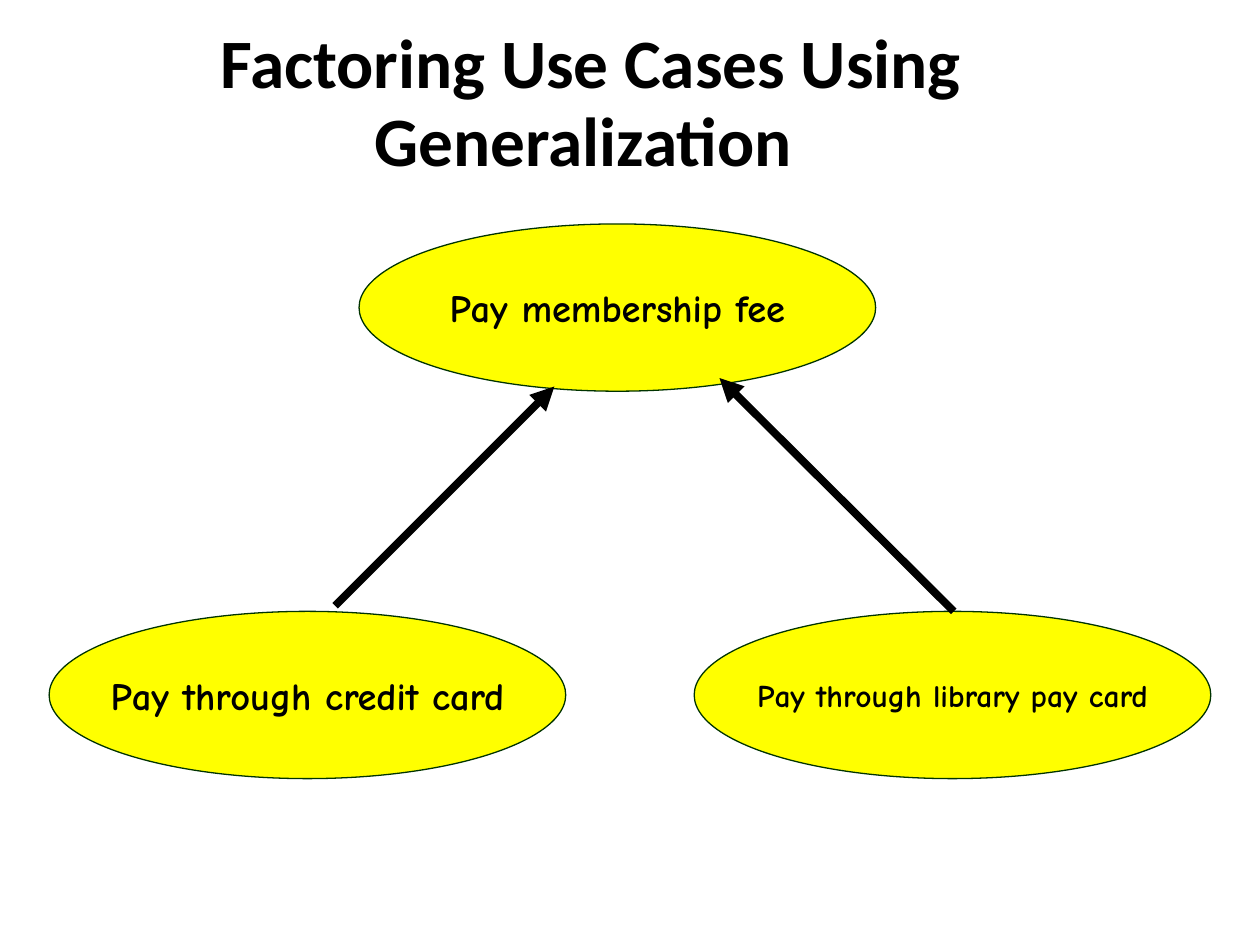
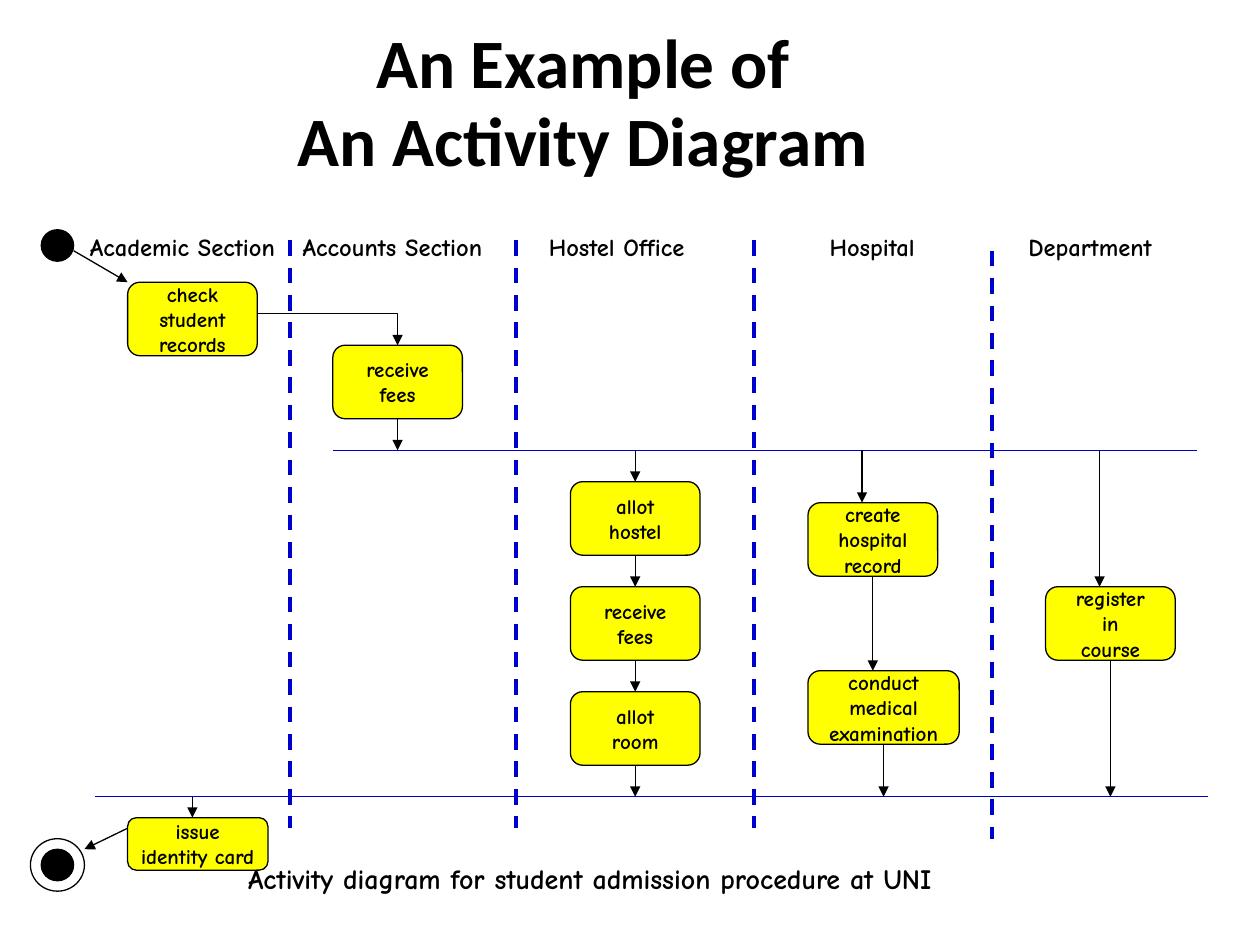
from dataclasses import dataclass

from lxml.etree import SubElement
from pptx import Presentation
from pptx.dml.color import RGBColor
from pptx.enum.dml import MSO_LINE
from pptx.enum.shapes import MSO_CONNECTOR, MSO_SHAPE
from pptx.enum.text import MSO_ANCHOR, PP_ALIGN
from pptx.oxml.ns import qn
from pptx.util import Inches, Pt

WIDTH, HEIGHT = 10, 7.5
BLACK = RGBColor(0x00, 0x00, 0x00)
YELLOW = RGBColor(0xFF, 0xFF, 0x00)
DARK_GREEN = RGBColor(0x00, 0x33, 0x00)
BLUE = RGBColor(0x00, 0x00, 0xCC)
TITLE_FONT, DIAGRAM_FONT = "Calibri", "Comic Neue"
TOP, BOTTOM = 0, 2
BOX_COLUMNS, BOX_ROWS, GAP_ROWS = 12, 7, 3
FORK_ROW, JOIN_ROW = 43, 76


@dataclass
class Grid:
    column: float
    row: float
    left: float = 0
    top: float = 0

    def point(self, column, row):
        return (Inches(self.left + column * self.column),
                Inches(self.top + row * self.row))

    def area(self, column, row, columns, rows):
        return (*self.point(column, row),
                Inches(columns * self.column), Inches(rows * self.row))


PERCENT = Grid(WIDTH / 100, HEIGHT / 100)
LANES = Grid(WIDTH * 0.6 / 70, HEIGHT / 90, 0.07, -0.01)


def write(shape, text, size, font=DIAGRAM_FONT, align=PP_ALIGN.CENTER,
          inset=(0.11, 0.06), wrap=False, anchor=MSO_ANCHOR.MIDDLE, **spacing):
    frame = shape.text_frame
    horizontal, vertical = (Inches(length) for length in inset)
    frame_format = {
        "word_wrap": wrap, "vertical_anchor": anchor,
        "margin_left": horizontal, "margin_right": horizontal,
        "margin_top": vertical, "margin_bottom": vertical,
    }
    for name, value in frame_format.items():
        setattr(frame, name, value)
    frame.text = text
    for paragraph in frame.paragraphs:
        paragraph.alignment = align
        for name, value in spacing.items():
            setattr(paragraph, name, value)
        for run in paragraph.runs:
            for name, value in {"name": font, "size": Pt(size), "bold": True}.items():
                setattr(run.font, name, value)
            run.font.color.rgb = BLACK


def add_title(slide, text):
    box = slide.shapes.add_textbox(*PERCENT.area(4.4, 2, 85, 18))
    write(box, text, 39.6, TITLE_FONT, inset=(0.02, 0.05), wrap=True,
          line_spacing=0.94, space_before=Pt(12.3))


def add_label(slide, area, text, size, inset=(0, 0)):
    box = slide.shapes.add_textbox(*area)
    write(box, text, size, align=PP_ALIGN.LEFT, inset=inset, wrap=True,
          anchor=MSO_ANCHOR.TOP)


def draw_outline(shape, color, width, dashed=False, arrow=False):
    shape.line.color.rgb = color
    shape.line.width = Pt(width)
    if dashed:
        shape.line.dash_style = MSO_LINE.DASH
    if arrow:
        outline = shape.element.spPr.find(qn("a:ln"))
        SubElement(outline, qn("a:tailEnd"), type="triangle")


def add_node(slide, kind, area, fill=YELLOW, line=BLACK, text="", size=12):
    shape = slide.shapes.add_shape(kind, *area)
    shape.shadow.inherit = False
    if fill is None:
        shape.fill.background()
    else:
        shape.fill.solid()
        shape.fill.fore_color.rgb = fill
    draw_outline(shape, line, 0.75)
    if text:
        write(shape, text, size)
    return shape


def add_activity(slide, column, row, text, columns=BOX_COLUMNS, rows=BOX_ROWS):
    return add_node(slide, MSO_SHAPE.ROUNDED_RECTANGLE,
                    LANES.area(column, row, columns, rows), text=text)


def add_line(slide, begin, end, color=BLACK, width=0.75, **style):
    connector = slide.shapes.add_connector(MSO_CONNECTOR.STRAIGHT, *begin, *end)
    draw_outline(connector, color, width, **style)
    SubElement(connector.element.spPr, qn("a:effectLst"))
    return connector


def add_flow(slide, begin, end, source=None, target=None):
    """Arrow between grid points, joined to the source's bottom and target's top."""
    arrow = add_line(slide, LANES.point(*begin), LANES.point(*end), arrow=True)
    if source is not None:
        arrow.begin_connect(source, BOTTOM)
    if target is not None:
        arrow.end_connect(target, TOP)


def add_bent_flow(slide, start, *corners):
    builder = slide.shapes.build_freeform(*LANES.point(*start))
    builder.add_line_segments([LANES.point(*corner) for corner in corners], close=False)
    shape = builder.convert_to_shape()
    shape.shadow.inherit = False
    shape.fill.background()
    draw_outline(shape, BLACK, 0.75, arrow=True)


def build_generalization(slide):
    add_title(slide, "Factoring Use Cases Using\vGeneralization ")
    use_cases = [
        (28.5, 23.7, "Pay membership fee", 22),
        (55.1, 64.7, "Pay through library pay card", 18),
        (3.9, 64.7, "Pay through credit card", 22),
    ]
    for column, row, text, size in use_cases:
        add_node(slide, MSO_SHAPE.OVAL, PERCENT.area(column, row, 41, 17.7),
                 line=DARK_GREEN, text=text, size=size)
    for begin, end in [((26.6, 64.1), (44, 40.9)), ((75.7, 64.7), (57.1, 40))]:
        add_line(slide, PERCENT.point(*begin), PERCENT.point(*end),
                 width=4.5, arrow=True)


def add_swimlanes(slide):
    headings = [
        (7.5, "Academic Section"), (27.2, "Accounts Section"),
        (50, "Hostel Office"), (76, "Hospital"), (94.4, "Department"),
    ]
    for column, text in headings:
        add_label(slide, LANES.area(column, 22.2, 20, 3), text, 14)
    for column, top in [(26, 23), (47, 23), (69, 23), (91, 24)]:
        add_line(slide, LANES.point(column, top), LANES.point(column, top + 56),
                 BLUE, 2.25, dashed=True)
    for left, right, row in [(30, 110, FORK_ROW), (8, 111, JOIN_ROW)]:
        add_line(slide, LANES.point(left, row), LANES.point(right, row), BLUE)


def add_start_and_end(slide):
    for column, row, size, fill in [(3, 22, 3, BLACK), (3, 81, 3, BLACK), (2, 80, 5, None)]:
        add_node(slide, MSO_SHAPE.OVAL, LANES.area(column, row, size, size), fill)


def add_hostel_steps(slide):
    column, row = 52, FORK_ROW + GAP_ROWS
    middle = column + BOX_COLUMNS / 2
    previous = None
    for text in ["allot\nhostel", "receive\nfees", "allot\nroom"]:
        step = add_activity(slide, column, row, text)
        add_flow(slide, (middle, row - GAP_ROWS), (middle, row), previous, step)
        previous = step
        row += BOX_ROWS + GAP_ROWS
    add_flow(slide, (middle, row - GAP_ROWS), (middle, JOIN_ROW), previous)


def build_activity_diagram(slide):
    add_title(slide, "An Example of \vAn Activity Diagram ")
    add_swimlanes(slide)
    add_start_and_end(slide)

    add_activity(slide, 11, 27, "check\nstudent\nrecords")
    fees = add_activity(slide, 30, 33, "receive\nfees")
    add_hostel_steps(slide)
    record = add_activity(slide, 74, 48, "create\nhospital\nrecord")
    examination = add_activity(slide, 74, 64, "conduct\nmedical\nexamination", columns=14)
    course = add_activity(slide, 96, 56, "register\nin\ncourse")
    add_activity(slide, 11, 78, "issue\nidentity card", columns=13, rows=5)

    add_bent_flow(slide, (23, 30), (36, 30), (36, 33))
    flows = [
        ((6, 24), (11, 27), None),
        ((36, 40), (36, FORK_ROW), fees),
        ((79, FORK_ROW), (79, 48), None),
        ((80, 55), (80, 64), record),
        ((81, 71), (81, JOIN_ROW), examination),
        ((101, FORK_ROW), (101, 56), None),
        ((102, 63), (102, JOIN_ROW), course),
        ((17, JOIN_ROW), (17, 78), None),
        ((11, 79), (7, 81), None),
    ]
    for begin, end, source in flows:
        add_flow(slide, begin, end, source)
    add_label(slide, PERCENT.area(18.6, 90.4, 64.7, 5),
              "Activity diagram for student admission procedure at UNI", 16,
              inset=(0.11, 0.06))


def main():
    presentation = Presentation()
    presentation.slide_width, presentation.slide_height = Inches(WIDTH), Inches(HEIGHT)
    for build in (build_generalization, build_activity_diagram):
        build(presentation.slides.add_slide(presentation.slide_layouts[6]))
    presentation.save("out.pptx")


if __name__ == "__main__":
    main()
